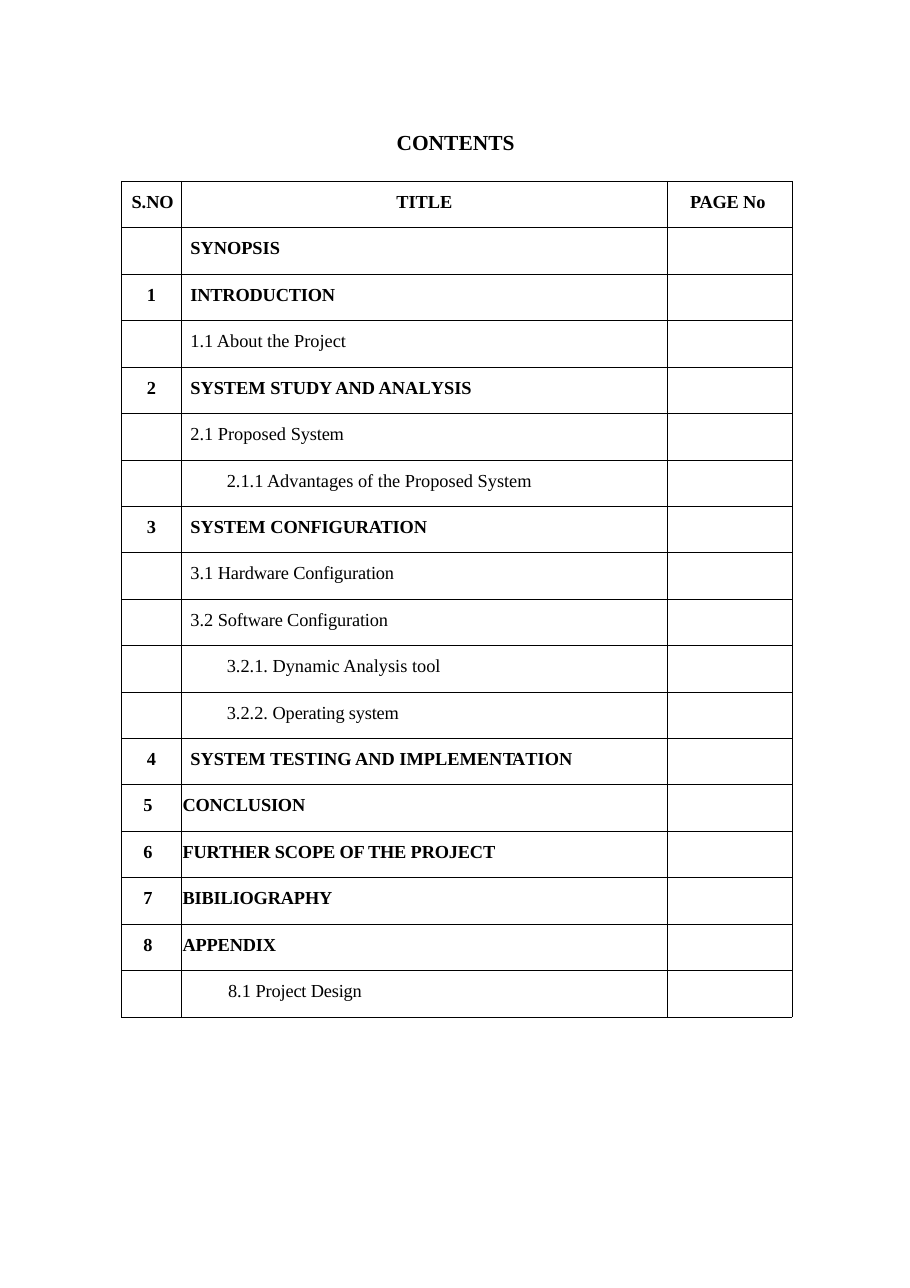
from lxml.etree import SubElement
from pptx import Presentation
from pptx.dml.color import RGBColor
from pptx.enum.text import PP_ALIGN as Align
from pptx.oxml.ns import qn
from pptx.util import Cm, Pt

BLACK = RGBColor(0x00, 0x00, 0x00)
FONT = "Times New Roman"


def add_run(para, text, size, bold, spacing=0):
    """Add one run; spacing is the letter spacing in points."""
    span = para.add_run()
    span.text = text
    span.font.name = FONT
    span.font.size = Pt(size)
    span.font.bold = bold
    span.font.color.rgb = BLACK
    if spacing:
        span._r.get_or_add_rPr().set("spc", str(round(spacing * 100)))


def add_borders(cell):
    """Draw a thin black line on all four sides of a cell."""
    props = cell._tc.get_or_add_tcPr()
    for side in ("a:lnL", "a:lnR", "a:lnT", "a:lnB"):
        line = SubElement(props, qn(side), w=str(Pt(0.5)))
        fill = SubElement(line, qn("a:solidFill"))
        SubElement(fill, qn("a:srgbClr"), val=str(BLACK))


deck = Presentation()
deck.slide_width, deck.slide_height = Cm(20.98), Cm(29.69)
page = deck.slides.add_slide(deck.slide_layouts[6])

# Heading
box = page.shapes.add_textbox(Cm(9.12), Cm(2.95), Cm(2.77), Cm(0.66))
frame = box.text_frame
frame.word_wrap = False
frame.margin_left = frame.margin_right = frame.margin_bottom = 0
frame.margin_top = Cm(0.03)
para = frame.paragraphs[0]
para.alignment = Align.CENTER
add_run(para, "CONTENTS", 14, True)

# Contents: number, indent of the title in cm, runs of the title with letter spacing
FLUSH, MAIN, SUB = 0.02, 0.2, 1.04
entries = [
    ("", MAIN, [("SYNOPSIS", 0)]),
    ("1", MAIN, [("INTRODUCTION", -0.1)]),
    ("", MAIN, [("1.1 About the Project", 0)]),
    ("2", MAIN, [("SYSTEM STUDY AND ANA", 0), ("L", -1.2), ("YSIS", 0)]),
    ("", MAIN, [("2.1 Proposed ", 0), ("System", -0.1)]),
    ("", SUB, [("2.1.1 Advantages of the Proposed System", 0)]),
    ("3", MAIN, [("SYSTEM ", 0), ("CONFIGURATION", -0.1)]),
    ("", MAIN, [("3.1 ", 0), ("Hardware Configuration", -0.1)]),
    ("", MAIN, [("3.2 ", 0), ("Software Configuration", -0.1)]),
    ("", SUB, [("3.2.1. Dynamic Analysis tool", 0)]),
    ("", SUB, [("3.2.2. ", 0), ("Operating system", -0.1)]),
    ("4", MAIN, [("SYSTEM TESTING AND IMPLEMEN", 0), ("TA", -1), ("TION", 0)]),
    ("5", FLUSH, [("CONCLUSION", -0.1)]),
    ("6", FLUSH, [("FURTHER SCOPE OF THE PROJECT", -0.1)]),
    ("7", FLUSH, [("BIBILIOGRAPHY", -0.1)]),
    ("8", FLUSH, [("APPENDIX", -0.1)]),
    ("", 1.07, [("8.1 ", 0), ("Project Design", -0.1)]),
]

# Each row is three cells: alignment, left margin, right margin, runs
rows = [[
    (Align.CENTER, 0.05, 0, [("S.NO", 0)]),
    (Align.CENTER, 0, 0, [("TITLE", 0)]),
    (Align.LEFT, 0.53, 0, [("PAGE ", -0.2), ("No", 0)]),
]]
for number, indent, title in entries:
    rows.append([
        (Align.CENTER, 0, 0.17 if indent == FLUSH else 0, [(number, 0)] if number else []),
        (Align.LEFT, indent, 0, title),
        (Align.LEFT, 0, 0, []),
    ])

# Table
widths = [1.39, 11.19, 2.88]
row_height = 1.07
table = page.shapes.add_table(
    len(rows), len(widths), Cm(2.8), Cm(4.18), Cm(sum(widths)), Cm(row_height * len(rows))
).table
table.first_row = table.horz_banding = False
for column, width in zip(table.columns, widths):
    column.width = Cm(width)

for row, contents in zip(table.rows, rows):
    row.height = Cm(row_height)
    heading = "".join(text for text, spacing in contents[1][3]).isupper()
    for cell, (alignment, left, right, runs) in zip(row.cells, contents):
        cell.margin_left, cell.margin_right = Cm(left), Cm(right)
        cell.margin_top, cell.margin_bottom = Cm(0.25 if runs else 0), 0
        add_borders(cell)
        cell.fill.background()
        para = cell.text_frame.paragraphs[0]
        para.alignment = alignment
        for text, spacing in runs:
            add_run(para, text, 12, heading, spacing)

deck.save("out.pptx")
